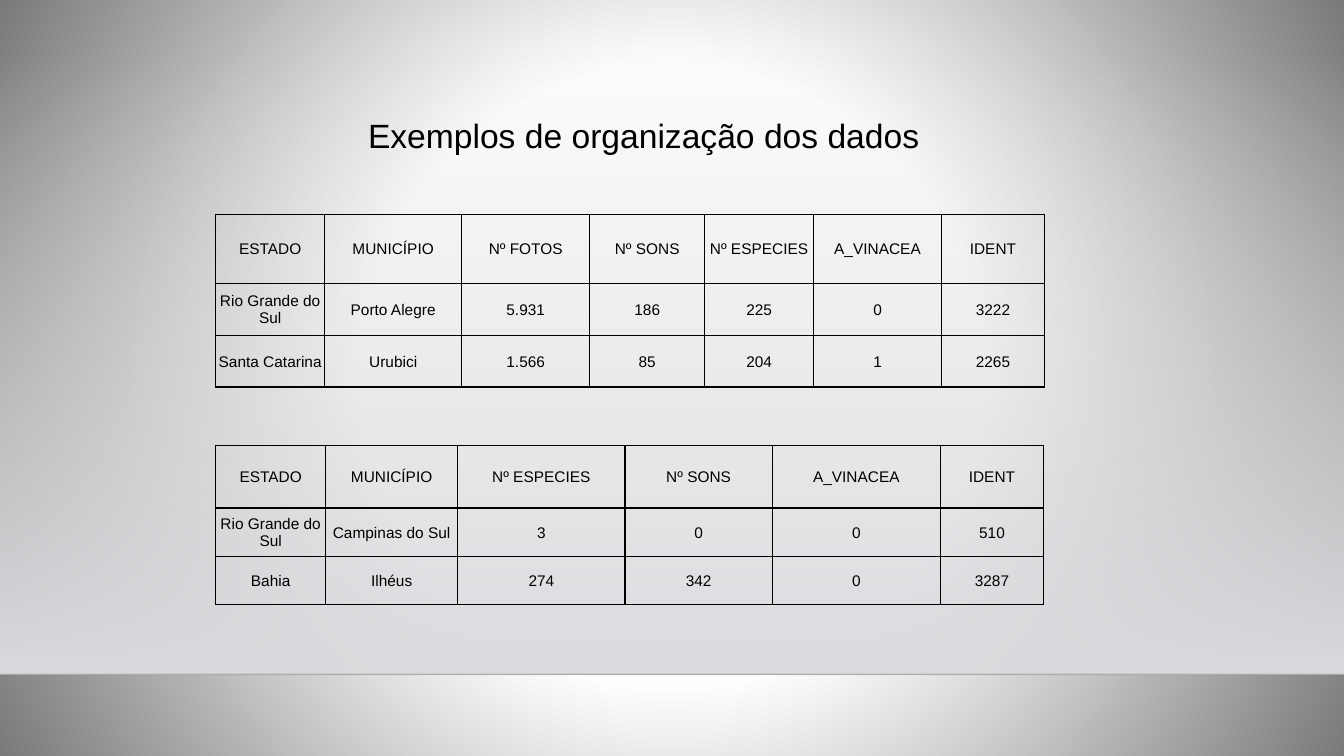
"""Build a slide with two example tables of organised data."""
import pptx
import pptx.util
import pptx.oxml
import pptx.oxml.ns
import pptx.dml.color
import pptx.enum.shapes
import pptx.enum.text
from lxml import etree

Inches = pptx.util.Inches
Pt = pptx.util.Pt
qn = pptx.oxml.ns.qn
NS = pptx.oxml.ns.nsdecls("a")


def rgb(code):
    return pptx.dml.color.RGBColor.from_string(code)


def set_gradient(fill, stops, direction):
    fill.gradient()
    grad = fill._xPr.find(qn("a:gradFill"))
    grad.clear()
    stop_xml = "".join(
        f'<a:gs pos="{pos * 1000}"><a:srgbClr val="{code}"><a:alpha val="{alpha * 1000}"/></a:srgbClr></a:gs>'
        for pos, code, alpha in stops)
    grad.append(pptx.oxml.parse_xml(f"<a:gsLst {NS}>{stop_xml}</a:gsLst>"))
    grad.append(pptx.oxml.parse_xml(direction))


prs = pptx.Presentation()
prs.slide_width = Inches(13.33)
prs.slide_height = Inches(7.5)
s = prs.slides.add_slide(prs.slide_layouts[5])

set_gradient(
    s.background.fill,
    [(0, "FFFFFF", 100), (40, "FDFDFD", 100), (100, "7A7A7A", 100)],
    f'<a:path {NS} path="circle"><a:fillToRect l="50000" t="50000" r="50000" b="50000"/></a:path>')

wall = s.shapes.add_shape(pptx.enum.shapes.MSO_SHAPE.RECTANGLE, 0, Inches(0.51), Inches(13.33), Inches(6.18))
wall.shadow.inherit = False
wall.line.fill.background()
set_gradient(wall.fill, [(0, "DCDCE0", 0), (100, "DDDDE1", 100)], f'<a:lin {NS} ang="5400000" scaled="0"/>')

edge = s.shapes.add_connector(
    pptx.enum.shapes.MSO_CONNECTOR.STRAIGHT, 0, Inches(6.69), Inches(13.33), Inches(6.69))
edge.line.color.rgb = rgb("000001")
edge.line.width = Pt(1)
edge_color = edge._element.spPr.find(".//" + qn("a:srgbClr"))
etree.SubElement(edge_color, qn("a:alpha")).set("val", "20000")
etree.SubElement(edge._element.spPr, qn("a:effectLst"))

tables = [
    (2.13, [1.08, 1.36, 1.27, 1.14, 1.08, 1.27, 1.02], [0.68, 0.52, 0.51], [
        ["ESTADO", "MUNICÍPIO", "Nº FOTOS", "Nº SONS", "Nº ESPECIES", "A_VINACEA", "IDENT"],
        ["Rio Grande do Sul", "Porto Alegre", "5.931", "186", "225", "0", "3222"],
        ["Santa Catarina", "Urubici", "1.566", "85", "204", "1", "2265"],
    ]),
    (4.42, [1.09, 1.31, 1.66, 1.46, 1.67, 1.02], [0.62, 0.48, 0.48], [
        ["ESTADO", "MUNICÍPIO", "Nº ESPECIES", "Nº SONS", "A_VINACEA", "IDENT"],
        ["Rio Grande do Sul", "Campinas do Sul", "3", "0", "0", "510"],
        ["Bahia", "Ilhéus", "274", "342", "0", "3287"],
    ]),
]

for top, widths, heights, rows in tables:
    table = s.shapes.add_table(
        len(rows), len(widths), Inches(2.14), Inches(top), Inches(sum(widths)), Inches(sum(heights))).table
    table.first_row = False
    table.horz_banding = False
    for column, width in zip(table.columns, widths):
        column.width = Inches(width)
    for row, height, texts in zip(table.rows, heights, rows):
        row.height = Inches(height)
        for cell, text in zip(row.cells, texts):
            cell.text = text
            cell.fill.background()
            cell.vertical_anchor = pptx.enum.text.MSO_ANCHOR.MIDDLE
            cell.margin_left = cell.margin_right = cell.margin_top = Inches(0.01)
            cell.margin_bottom = 0
            p = cell.text_frame.paragraphs[0]
            p.alignment = pptx.enum.text.PP_ALIGN.CENTER
            p.font.size = Pt(11)
            p.font.name = "Arial"
            p.font.color.rgb = rgb("000000")
            for i, side in enumerate(["lnL", "lnR", "lnT", "lnB"]):
                cell._tc.tcPr.insert(i, pptx.oxml.parse_xml(
                    f'<a:{side} {NS} w="12700"><a:solidFill><a:srgbClr val="000000"/></a:solidFill></a:{side}>'))

title = s.shapes.title
s.shapes._spTree.append(title._element)
title.left, title.top = Inches(3.55), Inches(1.09)
title.width, title.height = Inches(6.82), Inches(0.5)
tf = title.text_frame
tf.text = "Exemplos de organização dos dados"
tf.word_wrap = True
tf.auto_size = pptx.enum.text.MSO_AUTO_SIZE.SHAPE_TO_FIT_TEXT
tf.vertical_anchor = pptx.enum.text.MSO_ANCHOR.TOP
p = tf.paragraphs[0]
p.alignment = pptx.enum.text.PP_ALIGN.LEFT
p.font.size = Pt(24)
p.font.name = "Arial"
p.font.color.rgb = rgb("000000")

prs.save("out.pptx")
